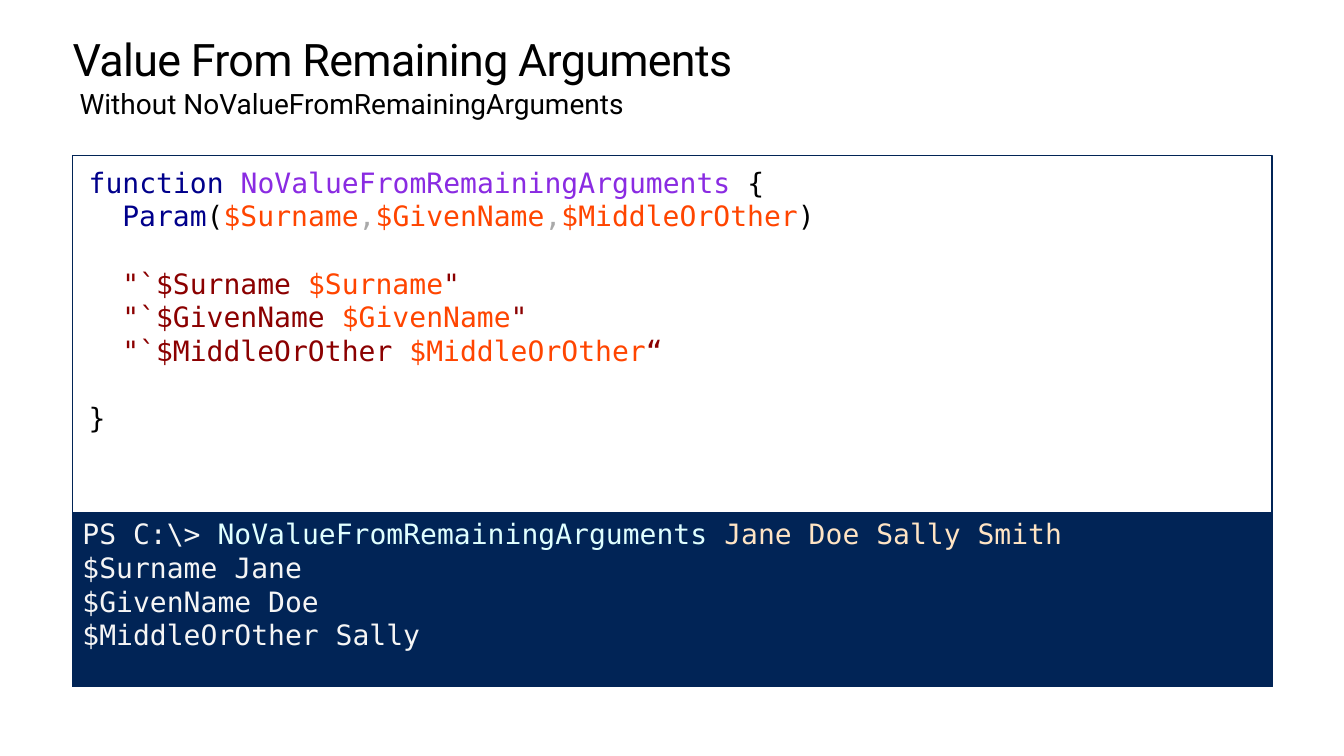
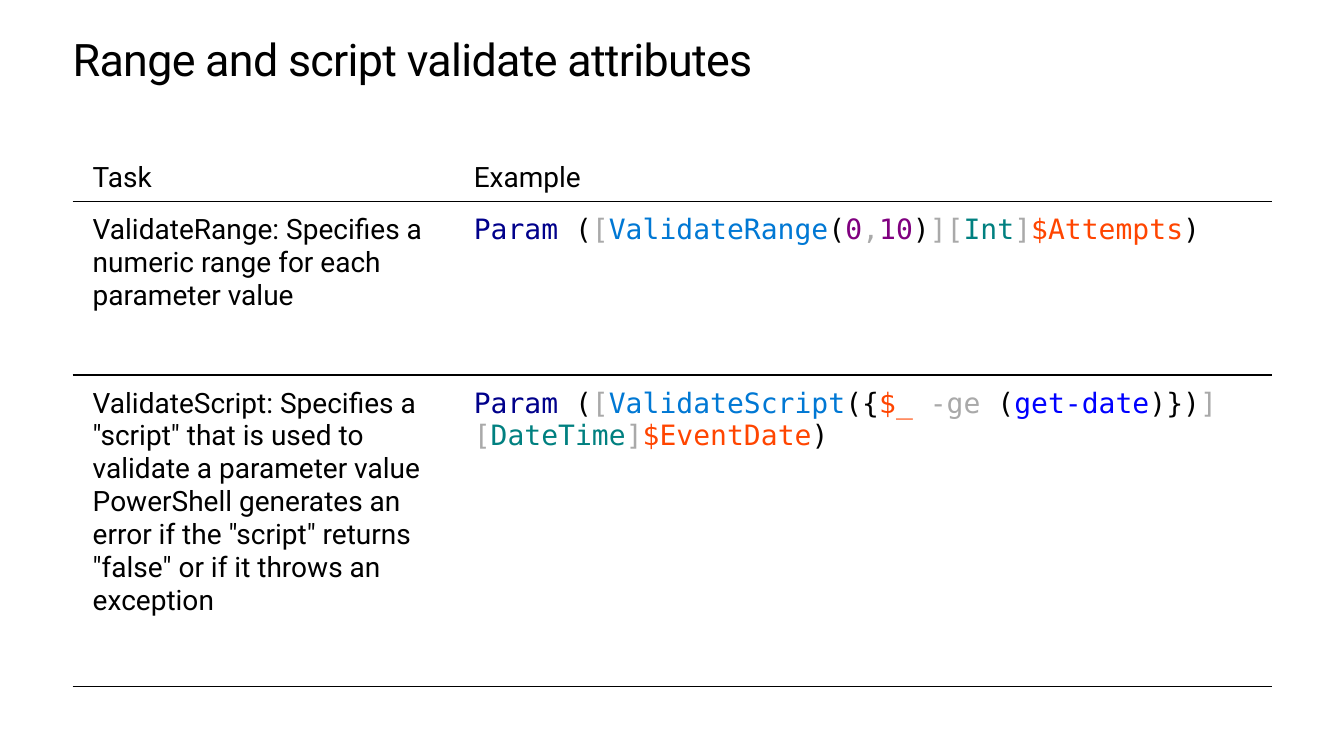
import pptx
import pptx.dml.color
import pptx.enum.shapes
import pptx.enum.text
import pptx.oxml
import pptx.oxml.ns
import pptx.util

Pt = pptx.util.Pt
ANCHOR = pptx.enum.text.MSO_ANCHOR

# Shared style
SANS, MONO = "Roboto", "DejaVu Sans Mono"
BLACK, NAVY = "000000", "012456"
KEYWORD, VARIABLE, OPERATOR, STRING = "00008B", "FF4500", "A9A9A9", "8B0000"
FUNCTION, ATTRIBUTE, NUMBER, TYPE, COMMAND = "8A2BE2", "0078D4", "800080", "008080", "0000FF"
OUTPUT, CALL, ARGUMENT = "F5F5F5", "E0FFFF", "FFE4C4"
LEFT, WIDTH = 51.84, 856.8
TITLE_TOP, SUBTITLE_TOP, HEADING_HEIGHT = 25.2, 61.92, 36
BODY_TOP, BODY_HEIGHT, CONSOLE_HEIGHT = 110.88, 379.44, 124.56
CODE_INDENT = CODE_LINE = 24
NO_TABLE_STYLE = "{2D5ABB26-0587-4C30-8999-92F81FD0307C}"


def rgb(value):
    return pptx.dml.color.RGBColor.from_string(value)


def add_text(tf, *runs, size=20, font=SANS, color=BLACK, before=0, indent=0,
             line=None, tracking=None):
    """Add a paragraph; a run is a string or a (string, colour) pair."""
    p = tf.paragraphs[0]
    if p.runs:
        p = tf.add_paragraph()
    p.alignment = pptx.enum.text.PP_ALIGN.LEFT
    p.space_before = Pt(before)
    if line:
        p.line_spacing = Pt(line)
    if indent:
        p._p.get_or_add_pPr().set("marL", str(Pt(indent)))
    for run in runs:
        text, shade = (run, color) if isinstance(run, str) else run
        r = p.add_run()
        r.text = text
        r.font.name, r.font.size = font, Pt(size)
        r.font.color.rgb = rgb(shade)
        if tracking:
            r._r.get_or_add_rPr().set("spc", str(round(tracking * 100)))
    return p


def set_margins(target, left, top, right, bottom):
    target.margin_left, target.margin_top = Pt(left), Pt(top)
    target.margin_right, target.margin_bottom = Pt(right), Pt(bottom)


class Deck:
    def __init__(self):
        self.prs = pptx.Presentation()
        self.prs.slide_width, self.prs.slide_height = Pt(960), Pt(540)
        self.s = None

    def heading(self, sp, top, text, **fmt):
        sp.left, sp.top, sp.width, sp.height = Pt(LEFT), Pt(top), Pt(WIDTH), Pt(HEADING_HEIGHT)
        tf = sp.text_frame
        tf.vertical_anchor = ANCHOR.TOP
        tf.auto_size = pptx.enum.text.MSO_AUTO_SIZE.NONE
        set_margins(tf, 0, 0, 0, 0)
        add_text(tf, text, **fmt)

    def slide(self, title, subtitle=None):
        layout = self.prs.slide_layouts[0 if subtitle else 5]
        self.s = self.prs.slides.add_slide(layout)
        self.heading(self.s.shapes.title, TITLE_TOP, title, size=32, line=36.2, tracking=-0.5)
        if subtitle:
            self.heading(self.s.placeholders[1], SUBTITLE_TOP, subtitle)

    def panel(self, top, height, margins, fill=None):
        sp = self.s.shapes.add_shape(pptx.enum.shapes.MSO_SHAPE.RECTANGLE,
                                     Pt(LEFT), Pt(top), Pt(WIDTH), Pt(height))
        sp.shadow.inherit = False
        if fill:
            sp.fill.solid()
            sp.fill.fore_color.rgb = rgb(fill)
        else:
            sp.fill.background()
        sp.line.color.rgb, sp.line.width = rgb(NAVY), Pt(0.75)
        tf = sp.text_frame
        tf.word_wrap, tf.vertical_anchor = True, ANCHOR.TOP
        set_margins(tf, *margins)
        return tf

    def table(self, widths, heights):
        tbl = self.s.shapes.add_table(len(heights), len(widths), Pt(LEFT), Pt(BODY_TOP),
                                      Pt(sum(widths)), Pt(sum(heights))).table
        tbl.first_row = tbl.horz_banding = False
        tbl._tbl.tblPr.find(pptx.oxml.ns.qn("a:tableStyleId")).text = NO_TABLE_STYLE
        for column, width in zip(tbl.columns, widths):
            column.width = Pt(width)
        for row, height in zip(tbl.rows, heights):
            row.height = Pt(height)
        return tbl

    def cell(self, tbl, row, col, paragraphs, font=SANS):
        cell = tbl.cell(row, col)
        header = row == 0
        cell.vertical_anchor = ANCHOR.MIDDLE if header else ANCHOR.TOP
        pad = 3.6 if header else 8.64
        set_margins(cell, 14.4, pad, 0 if col else 7.2, pad)
        cell.fill.background()
        border = pptx.oxml.parse_xml(
            f'<a:lnB {pptx.oxml.ns.nsdecls("a")} w="{Pt(1)}"><a:solidFill>'
            f'<a:srgbClr val="{BLACK}"/></a:solidFill></a:lnB>')
        cell._tc.get_or_add_tcPr().insert(0, border)
        for runs in paragraphs:
            add_text(cell.text_frame, *runs, font=font)


def remaining_arguments(deck):
    deck.slide("Value From Remaining Arguments", " Without NoValueFromRemainingArguments")
    function = "NoValueFromRemainingArguments"
    names = ["$Surname", "$GivenName", "$MiddleOrOther"]

    # Console output
    tf = deck.panel(BODY_TOP + BODY_HEIGHT - CONSOLE_HEIGHT, CONSOLE_HEIGHT,
                    (7.2, 3.6, 7.2, 3.6), NAVY)
    console = dict(font=MONO, color=OUTPUT)
    add_text(tf, "PS C:\\> ", (function + " ", CALL), ("Jane Doe Sally Smith", ARGUMENT), **console)
    for name, value in zip(names, ["Jane", "Doe", "Sally"]):
        add_text(tf, f"{name} {value}", **console)

    # Function source
    tf = deck.panel(BODY_TOP, BODY_HEIGHT, (11.52, 7.2, 11.52, 7.2))
    add_text(tf, ("function ", KEYWORD), (function, FUNCTION), " {", font=MONO)
    params = [(name, VARIABLE) for name in names]
    comma = (",", OPERATOR)
    add_text(tf, ("Param", KEYWORD), "(", params[0], comma, params[1], comma, params[2], ")",
             font=MONO, indent=CODE_INDENT)
    for i, (name, quote) in enumerate(zip(names, '""“')):
        add_text(tf, f'"`{name} ', (name, VARIABLE), quote, font=MONO, color=STRING,
                 indent=CODE_INDENT, before=0 if i else CODE_LINE)
    add_text(tf, "}", font=MONO, before=CODE_LINE)


def validate_attributes(deck):
    deck.slide("Range and script validate attributes")

    def param(attribute, arguments, kind, variable):
        return [("Param", KEYWORD), " (", ("[", OPERATOR), (attribute, ATTRIBUTE), *arguments,
                ("][", OPERATOR), (kind, TYPE), ("]", OPERATOR), (variable, VARIABLE), ")"]

    # Task description and example code for each attribute
    rows = [
        ([["ValidateRange: Specifies a numeric range for each parameter value"]],
         param("ValidateRange",
               ["(", ("0", NUMBER), (",", OPERATOR), ("10", NUMBER), ")"],
               "Int", "$Attempts")),
        ([['ValidateScript: Specifies a "script" that is used to validate a parameter value'],
          ['PowerShell generates an error if the "script" returns "false" '
           'or if it throws an exception']],
         param("ValidateScript",
               ["({", ("$_ ", VARIABLE), ("-ge", OPERATOR), " (", ("get-date", COMMAND), ")})"],
               "DateTime", "$EventDate")),
    ]
    tbl = deck.table([272.16, 584.64], [33.12, 123.84, 222.48])
    for col, label in enumerate(["Task", "Example"]):
        deck.cell(tbl, 0, col, [[label]])
    for row, (task, example) in enumerate(rows, 1):
        deck.cell(tbl, row, 0, task)
        deck.cell(tbl, row, 1, [example], font=MONO)


def main():
    deck = Deck()
    remaining_arguments(deck)
    validate_attributes(deck)
    deck.prs.save("out.pptx")


if __name__ == "__main__":
    main()
